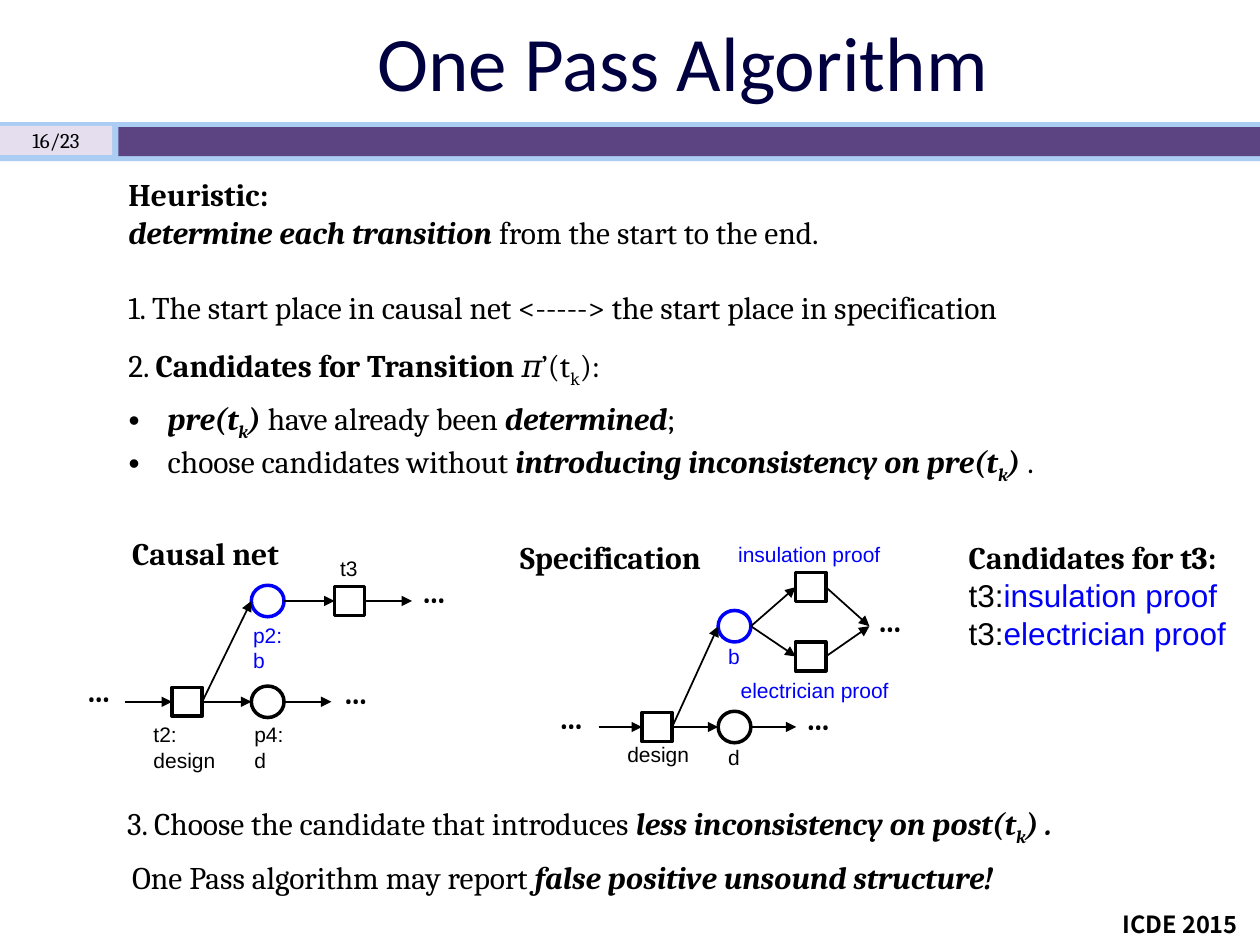
import pptx
import pptx.dml.color
import pptx.enum.shapes
import pptx.enum.text
import pptx.oxml
import pptx.oxml.ns
import pptx.util

BLACK, BLUE, NAVY = "000000", "0000F9", "000040"
SHAPES = pptx.enum.shapes.MSO_SHAPE
ALIGN = pptx.enum.text.PP_ALIGN
ANCHOR = pptx.enum.text.MSO_ANCHOR
rgb = pptx.dml.color.RGBColor.from_string

presentation = pptx.Presentation()
presentation.slide_width = pptx.util.Inches(10)
presentation.slide_height = pptx.util.Inches(7.5)
COLUMN = presentation.slide_width // 100
ROW = presentation.slide_height // 75


def cells(*lengths):
    """Turn alternating column and row counts into slide lengths."""
    return [round(length * (ROW if index % 2 else COLUMN)) for index, length in enumerate(lengths)]


def write(shape, paragraphs, wrap=True, font="Cambria", size=18, colour=BLACK,
          align=ALIGN.LEFT, anchor=ANCHOR.TOP):
    """Fill a shape with paragraphs of (text, marks) runs.

    Marks: b bold, i italic, s subscript, a Arial, u blue.
    """
    frame = shape.text_frame
    frame_format = {"word_wrap": wrap, "vertical_anchor": anchor,
                    "auto_size": pptx.enum.text.MSO_AUTO_SIZE.NONE}
    for name, value in frame_format.items():
        setattr(frame, name, value)
    for index, runs in enumerate(paragraphs):
        paragraph = frame.add_paragraph() if index else frame.paragraphs[0]
        paragraph.alignment = align
        paragraph.space_before = pptx.util.Pt(0)
        for text, marks in runs:
            run = paragraph.add_run()
            run.text = text
            font_format = {"name": "Arial" if "a" in marks else font, "size": pptx.util.Pt(size),
                           "bold": "b" in marks, "italic": "i" in marks}
            for name, value in font_format.items():
                setattr(run.font, name, value)
            run.font.color.rgb = rgb(BLUE if "u" in marks else colour)
            if "s" in marks:
                run.font._element.set("baseline", "-25000")


slide = presentation.slides.add_slide(presentation.slide_layouts[1])
title, body = slide.placeholders

# Header band
for colour, area in [("ABCDF4", (0, 9.7, 100, 3.1)),
                     ("E5DEEF", (0, 10, 8.9, 2.3)),
                     ("5C4381", (9.4, 10.1, 90.6, 2.3))]:
    bar = slide.shapes.add_shape(SHAPES.RECTANGLE, *cells(*area))
    bar.shadow.inherit = False
    bar.fill.solid()
    bar.fill.fore_color.rgb = rgb(colour)
    bar.line.fill.background()

# Title and bullet list
for placeholder, area in [(title, (9.2, 0.3, 90, 9)), (body, (9.2, 31.2, 76.3, 7.1))]:
    for name, value in zip(("left", "top", "width", "height"), cells(*area)):
        setattr(placeholder, name, value)
write(title, [[("One Pass Algorithm", "")]], font="Calibri", size=44, colour=NAVY,
      align=ALIGN.CENTER, anchor=ANCHOR.MIDDLE)
write(body, [
    [("pre(t", "bi"), ("k", "bis"), (") ", "bi"), ("have already been ", ""),
     ("determined", "bi"), (";", "")],
    [("choose candidates without ", ""), ("introducing inconsistency on pre(t", "bi"),
     ("k", "bis"), (") ", "bi"), (".", "")],
])
for paragraph in body.text_frame.paragraphs:
    properties = paragraph._p.get_or_add_pPr()
    properties.set("marL", str(round(3.1 * COLUMN)))
    properties.set("indent", str(round(-3.1 * COLUMN)))

# Running text: area, wrap, paragraphs
for area, wrap, paragraphs in [
    ((9.2, 13.4, 90, 7.1), True, [
        [("Heuristic:", "b")],
        [("determine each transition", "bi"), (" from the start to the end.", "")]]),
    ((9.2, 22.4, 74.1, 4), False, [
        [("1. The start place in causal net <-----> the start place in specification", "")]]),
    ((9.2, 27, 41.1, 4), False, [
        [("2. ", ""), ("Candidates for Transition ", "b"), ("𝜋’(t", ""), ("k", "s"), ("):", "")]]),
    ((75.9, 42.2, 23.4, 10.1), False, [
        [("Candidates for t3:", "b")],
        [("t3:", "a"), ("insulation proof", "au")],
        [("t3:", "a"), ("electrician proof", "au")]]),
    ((9.1, 63.3, 90.1, 4), True, [
        [("3. Choose the candidate that introduces ", ""),
         ("less inconsistency on post(t", "bi"), ("k", "bis"), (") .", "bi")]]),
    ((9.5, 67.6, 72.6, 4), False, [
        [("One Pass algorithm may report ", ""), ("false positive unsound structure!", "bi")]]),
    ((9.5, 41.9, 14, 4), False, [[("Causal net", "b")]]),
    ((40.3, 42.2, 17, 4), False, [[("Specification", "b")]]),
]:
    write(slide.shapes.add_textbox(*cells(*area)), paragraphs, wrap)

# Places (circles) and transitions (squares) of both nets, by centre
SIZES = {SHAPES.RECTANGLE: (2.4, 2.3), SHAPES.OVAL: (2.6, 2.5)}
NODES = {
    "t2": (SHAPES.RECTANGLE, 14.85, 55.7, BLACK),
    "p4": (SHAPES.OVAL, 21.25, 55.7, BLACK),
    "p2": (SHAPES.OVAL, 21.25, 47.7, BLUE),
    "t3": (SHAPES.RECTANGLE, 27.75, 47.7, BLACK),
    "design": (SHAPES.RECTANGLE, 52.15, 57.7, BLACK),
    "d": (SHAPES.OVAL, 58.3, 57.7, BLACK),
    "b": (SHAPES.OVAL, 58.3, 49.7, BLUE),
    "insulation": (SHAPES.RECTANGLE, 64.35, 46.6, BLACK),
    "electrician": (SHAPES.RECTANGLE, 64.35, 52.1, BLACK),
}
drawn = {}
for name, (kind, x, y, colour) in NODES.items():
    width, height = SIZES[kind]
    node = slide.shapes.add_shape(kind, *cells(x - width / 2, y - height / 2, width, height))
    node.shadow.inherit = False
    node.fill.background()
    node.line.color.rgb = rgb(colour)
    node.line.width = pptx.util.Pt(2)
    drawn[name] = node

# Arrows run from a right side to a left side, or to a free point
for ends in [
    ((9.9, 55.7), "t2"), ("t2", "p4"), ("t2", "p2"), ("p2", "t3"),
    ("t3", (32.7, 47.7)), ("p4", (26.3, 55.7)),
    ((47.5, 57.7), "design"), ("design", "d"), ("design", "b"), ("d", (63.2, 57.7)),
    ("b", "insulation"), ("b", "electrician"),
    ("insulation", (69, 49.7)), ("electrician", (69, 49.7)),
]:
    points = []
    for end, side in zip(ends, (1, -1)):
        if end in NODES:
            kind, x, y, colour = NODES[end]
            end = (x + side * SIZES[kind][0] / 2, y)
        points += end
    arrow = slide.shapes.add_connector(pptx.enum.shapes.MSO_CONNECTOR.STRAIGHT, *cells(*points))
    for end, join, site in zip(ends, (arrow.begin_connect, arrow.end_connect), (3, 1)):
        if end in NODES and NODES[end][0] == SHAPES.RECTANGLE:
            join(drawn[end], site)
    arrow.line.color.rgb = rgb(BLACK)
    arrow.line.width = pptx.util.Pt(1)
    head = pptx.oxml.parse_xml('<a:tailEnd %s type="triangle"/>' % pptx.oxml.ns.nsdecls("a"))
    arrow.line._get_or_add_ln().append(head)
    arrow._element.spPr.append(
        pptx.oxml.parse_xml("<a:effectLst %s/>" % pptx.oxml.ns.nsdecls("a")))

# Node labels
for lines, marks, area in [
    (["p2:", "b"], "au", (19.1, 48.9, 6.9, 5)),
    (["p4:", "d"], "a", (19.2, 56.8, 6.3, 5)),
    (["t2:", "design"], "a", (11.2, 56.8, 9.3, 5)),
    (["t3"], "a", (26, 43.6, 4.1, 3)),
    (["b"], "au", (56.8, 50.6, 3, 3)),
    (["d"], "a", (56.8, 58.6, 3, 3)),
    (["design"], "a", (48.8, 58.4, 7.2, 3)),
    (["electrician proof"], "au", (57.8, 53.3, 14, 3)),
    (["insulation proof"], "au", (57.6, 42.5, 14, 3)),
]:
    write(slide.shapes.add_textbox(*cells(*area)), [[(line, marks)] for line in lines], size=12)

# Dots where a net goes on
for left, top in [(5.9, 52.8), (32.5, 44.9), (26.3, 52.9),
                  (43.4, 54.9), (63, 55), (68.7, 47.2)]:
    write(slide.shapes.add_textbox(*cells(left, top, 4, 4)), [[("…", "b")]], wrap=False)

# Page count and venue
write(slide.shapes.add_textbox(*cells(0, 9.6, 8.9, 3.1)), [[("16/23", "")]], size=12,
      align=ALIGN.CENTER, anchor=ANCHOR.MIDDLE)
write(slide.shapes.add_textbox(*cells(88.1, 71.7, 11.8, 3.3)), [[("ICDE 2015", "b")]],
      wrap=False, font="Noto Sans CJK SC", size=13.5)

presentation.save("out.pptx")
